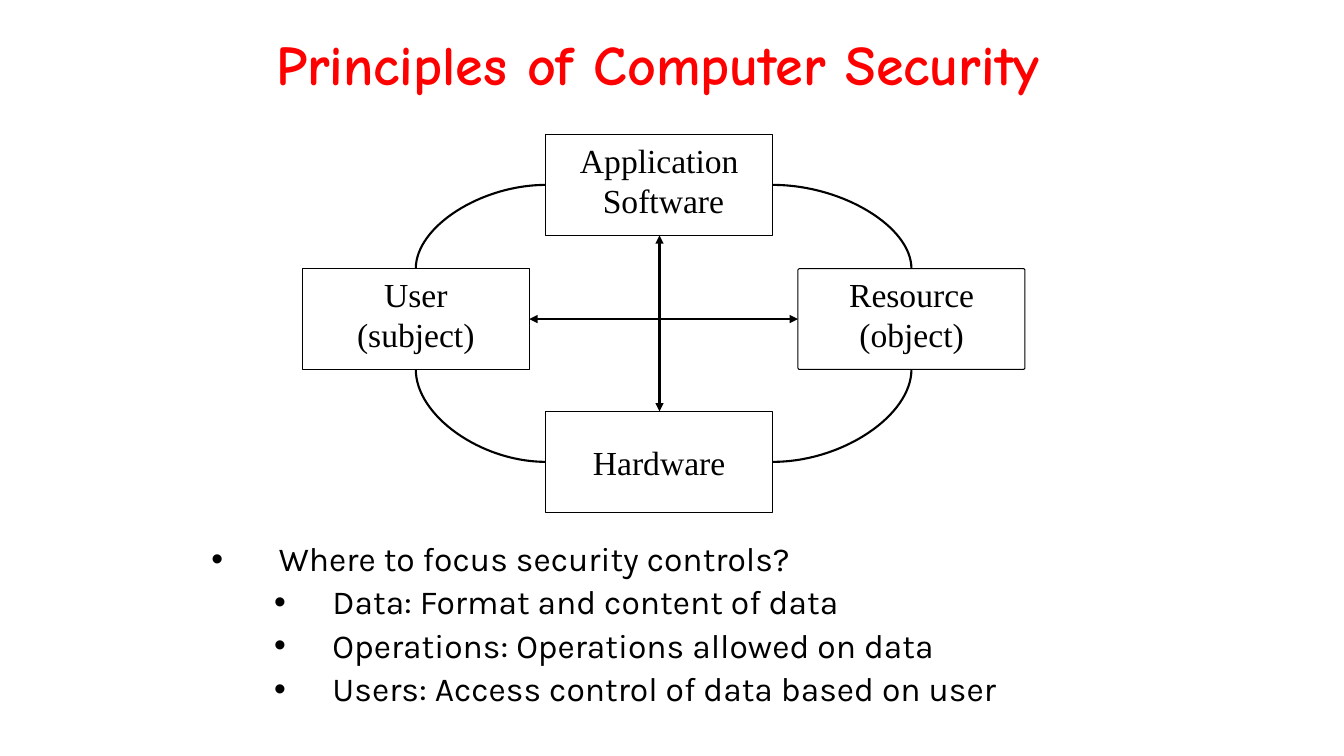
from lxml import etree
from pptx import Presentation
from pptx.dml.color import RGBColor
from pptx.enum.shapes import MSO_CONNECTOR, MSO_SHAPE
from pptx.enum.text import MSO_ANCHOR, MSO_AUTO_SIZE, PP_ALIGN
from pptx.oxml.ns import qn
from pptx.util import Cm, Pt

RECT, OCTAGON = MSO_SHAPE.RECTANGLE, MSO_SHAPE.OCTAGON
STRAIGHT, CURVE = MSO_CONNECTOR.STRAIGHT, MSO_CONNECTOR.CURVE
CENTER, MIDDLE = PP_ALIGN.CENTER, MSO_ANCHOR.MIDDLE
FIT_SHAPE = MSO_AUTO_SIZE.SHAPE_TO_FIT_TEXT
TOP, LEFT, BOTTOM, RIGHT = range(4)


def rgb(value):
    return RGBColor.from_string(value)


class Diagram:
    title_font, body_font, label_font = "Comic Neue", "Karla", "Times New Roman"
    ink, accent = "000000", "FF0000"
    box_w, box_h = 5.72, 2.54

    def __init__(self, slide):
        self.slide = slide

    def frame(self, x, y, w, h):
        sp = self.slide.shapes.add_textbox(Cm(x), Cm(y), Cm(w), Cm(h))
        sp.text_frame.word_wrap = True
        return sp.text_frame

    def add_lines(self, tf, lines, font, size, color, bold=False):
        for i, line in enumerate(lines):
            p = tf.paragraphs[0] if i == 0 else tf.add_paragraph()
            r = p.add_run()
            r.text = line
            r.font.name, r.font.size, r.font.bold = font, Pt(size), bold
            r.font.color.rgb = rgb(color)
        return tf.paragraphs

    def title(self, text, x, y, w, h):
        tf = self.frame(x, y, w, h)
        tf.vertical_anchor = MIDDLE
        for p in self.add_lines(tf, [text], self.title_font, 40, self.accent, True):
            p.alignment = CENTER

    def label(self, lines, x, y, w, h):
        tf = self.frame(x, y, w, h)
        tf.auto_size = FIT_SHAPE
        for p in self.add_lines(tf, lines, self.label_font, 24, self.ink):
            p.alignment = CENTER

    def bullets(self, items, x, y, w, h):
        tf = self.frame(x, y, w, h)
        texts = [text for _, text in items]
        paragraphs = self.add_lines(tf, texts, self.body_font, 24, self.ink)
        for p, (level, _) in zip(paragraphs, items):
            p.level = level
            p.line_spacing = 0.9
            p.space_before = Pt((10, 5)[level])
            pPr = p._p.get_or_add_pPr()
            pPr.set("marL", str(Cm((1.7, 3.05)[level])))
            pPr.set("indent", str(-Cm((1.7, 1.47)[level])))
            etree.SubElement(pPr, qn("a:buFont")).set("typeface", "Arial")
            etree.SubElement(pPr, qn("a:buChar")).set("char", "•")

    def box(self, x, y, kind=RECT):
        sp = self.slide.shapes.add_shape(
            kind, Cm(x), Cm(y), Cm(self.box_w), Cm(self.box_h))
        sp.shadow.inherit = False
        sp.fill.background()
        sp.line.color.rgb = rgb(self.ink)
        sp.line.width = Pt(0.75)
        if kind == OCTAGON:
            sp.adjustments[0] = 0.012
        return sp

    def side(self, sp, side):
        mid_x, mid_y = sp.left + sp.width // 2, sp.top + sp.height // 2
        return ((mid_x, sp.top), (sp.left, mid_y),
                (mid_x, sp.top + sp.height), (sp.left + sp.width, mid_y))[side]

    def join(self, kind, start, start_side, end, end_side):
        c = self.slide.shapes.add_connector(
            kind, *self.side(start, start_side), *self.side(end, end_side))
        if start.auto_shape_type == RECT:
            c.begin_connect(start, start_side)
        if end.auto_shape_type == RECT:
            c.end_connect(end, end_side)
        c.line.color.rgb = rgb(self.ink)
        c.line.width = Pt(1.5)
        etree.SubElement(c._element.spPr, qn("a:effectLst"))
        return c

    def arrow(self, *ends):
        c = self.join(STRAIGHT, *ends)
        ln = c._element.spPr.find(qn("a:ln"))
        for tag in ("a:headEnd", "a:tailEnd"):
            etree.SubElement(ln, qn(tag)).set("type", "triangle")

    def curve(self, *ends):
        c = self.join(CURVE, *ends)
        c._element.spPr.find(qn("a:prstGeom")).set("prst", "curvedConnector2")


def main():
    prs = Presentation()
    prs.slide_width, prs.slide_height = Cm(33.87), Cm(19.05)
    d = Diagram(prs.slides.add_slide(prs.slide_layouts[6]))

    d.bullets([
        (0, "Where to focus security controls?"),
        (1, "Data: Format and content of data"),
        (1, "Operations: Operations allowed on data"),
        (1, "Users: Access control of data based on user"),
    ], 5.08, 13.55, 23.92, 4.45)
    d.title("Principles of Computer Security ", 5.5, 0, 22.65, 3.18)

    resource = d.box(20.11, 6.77, OCTAGON)
    user = d.box(7.62, 6.77)
    software = d.box(13.76, 3.39)
    hardware = d.box(13.76, 10.37)

    d.arrow(user, RIGHT, resource, LEFT)
    d.arrow(software, BOTTOM, hardware, TOP)

    d.label(["Application ", "Software"], 14.18, 3.39, 5.08, 2.31)
    d.label(["User", "(subject)"], 8.47, 6.77, 4.02, 2.31)
    d.label(["Hardware"], 14.6, 11.01, 4.02, 1.27)
    d.label(["Resource", "(object)"], 20.75, 6.77, 4.45, 2.31)

    for start, end_side in ((software, TOP), (hardware, BOTTOM)):
        d.curve(start, LEFT, user, end_side)
        d.curve(start, RIGHT, resource, end_side)

    prs.save("out.pptx")


if __name__ == "__main__":
    main()
